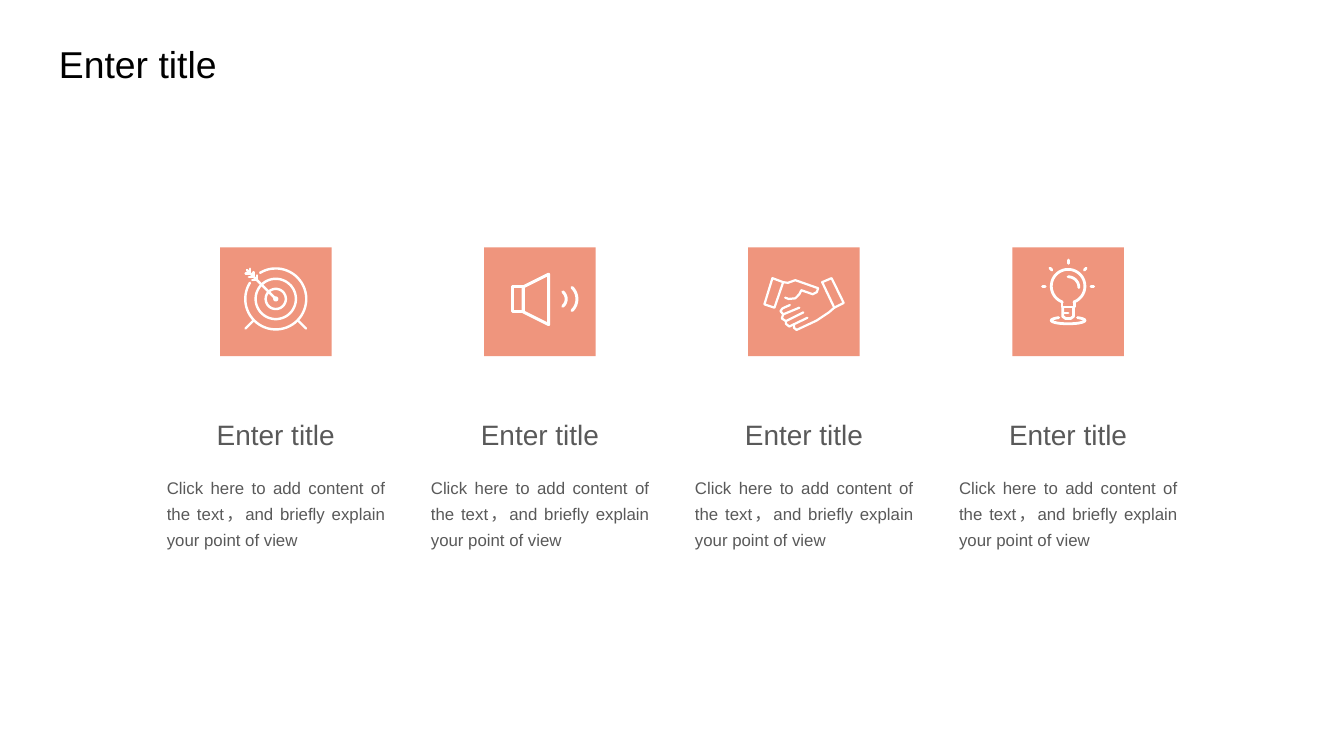
from dataclasses import dataclass
from math import cos, radians, sin

from pptx import Presentation
from pptx.dml.color import RGBColor
from pptx.enum.shapes import MSO_SHAPE
from pptx.enum.text import MSO_AUTO_SIZE, PP_ALIGN
from pptx.util import Inches, Pt

RECT = MSO_SHAPE.RECTANGLE
GROW = MSO_AUTO_SIZE.SHAPE_TO_FIT_TEXT
LEFT, CENTER, JUSTIFY = PP_ALIGN.LEFT, PP_ALIGN.CENTER, PP_ALIGN.JUSTIFY

SLIDE_W = 10
SLIDE_H = SLIDE_W * 9 / 16
COLUMNS, MARGIN = 4, 1.07
COLUMN_W = (SLIDE_W - 2 * MARGIN) / COLUMNS
TILE_W, TILE_H, TILE_TOP = 0.83, 0.81, 1.84
LABEL_W, LABEL_H, LABEL_TOP = 1.67, 0.35, 3.06
BODY_W, BODY_H, BODY_TOP = 1.82, 0.87, 3.46
ICON_UNIT = 0.01

HEADING = "Enter title"
BODY = "Click here to add content of the text，and briefly explain your point of view"

Point = tuple[float, float]


@dataclass(frozen=True)
class Theme:
    font: str = "Arial"
    title: RGBColor = RGBColor(0x00, 0x00, 0x00)
    text: RGBColor = RGBColor(0x59, 0x59, 0x59)
    tile: RGBColor = RGBColor(0xEF, 0x95, 0x7D)
    icon: RGBColor = RGBColor(0xFF, 0xFF, 0xFF)
    title_size: float = 20
    label_size: float = 15
    body_size: float = 9


@dataclass(frozen=True)
class Box:
    x: float
    y: float
    w: float
    h: float

    def emu(self) -> tuple[int, ...]:
        return tuple(Inches(v) for v in (self.x, self.y, self.w, self.h))


@dataclass(frozen=True)
class Stroke:
    points: tuple[Point, ...]
    closed: bool = False


@dataclass(frozen=True)
class Icon:
    weight: float
    strokes: tuple[Stroke, ...]


THEME = Theme()


def line(*points: Point) -> Stroke:
    return Stroke(points)


def loop(*points: Point) -> Stroke:
    return Stroke(points, True)


def arc(cx: float, cy: float, rx: float, ry: float, start: float, end: float) -> Stroke:
    steps = max(8, round((end - start) / 6))
    angles = [radians(start + (end - start) * i / steps) for i in range(steps + 1)]
    return Stroke(tuple((cx + rx * cos(a), cy + ry * sin(a)) for a in angles))


def ring(cx: float, cy: float, r: float) -> Stroke:
    return Stroke(arc(cx, cy, r, r, 0, 360).points[:-1], True)


TARGET = Icon(1.3, (
    arc(41.5, 38.5, 22.7, 22.7, 239, 572),
    *(ring(41.5, 38.5, r) for r in (15, 7.5, 1)),
    line((20, 17), (41.5, 38.5)),
    *(line((x, y - 3.5), (x, y), (x - 3.5, y)) for x, y in ((22.5, 19.5), (25, 22), (27.5, 24.5))),
    line((25, 54.5), (19, 60.5)),
    line((58, 54.5), (64, 60.5)),
))
SPEAKER = Icon(1.6, (
    loop((21, 29.5), (29, 29.5), (29, 48), (21, 48)),
    loop((29, 29.5), (48, 20), (48, 57.5), (29, 48)),
    arc(54, 38.5, 7, 7, -50, 50),
    arc(57, 38.5, 12, 12, -46, 46),
))
HANDSHAKE = Icon(1.2, (
    loop((55, 26), (62, 23), (71, 41.5), (64, 45)),
    loop((18, 23), (26, 26), (19.5, 45), (12, 42.5)),
    line((26, 26), (29.5, 26.5), (35, 24.5), (52, 30.5), (51, 33.5), (48, 35),
         (39.5, 32), (38, 35), (35, 38), (30, 38.5), (27.5, 37.5)),
    line((31, 43), (25.5, 45.5), (24, 47.5), (26, 50), (38, 45)),
    line((26, 50), (25, 53), (28, 55), (41, 48.5)),
    line((28, 55), (28, 57), (30.5, 59), (44, 52.5)),
    line((34, 57.5), (34, 60), (36, 61.5), (51, 54.5), (60, 48.5), (64, 45)),
))
BULB = Icon(1.5, (
    arc(41.5, 29, 12.5, 12.5, 110, 430),
    line((37, 41), (37, 44.5), (46, 44.5), (46, 41)),
    line((37.5, 44.5), (37.5, 51.5), (39.5, 53), (43.5, 53), (45.5, 51.5), (45.5, 44.5)),
    line((38.5, 49), (41.5, 49)),
    arc(41.5, 30, 8, 8, -90, 0),
    arc(41.5, 54.5, 12.5, 2.5, -56, 236),
    line((41.5, 9.5), (41.5, 12)),
    line((55, 15.5), (53.5, 17)),
    line((28, 15.5), (29.5, 17)),
    line((58.5, 29), (60.5, 29)),
    line((22.5, 29), (24.5, 29)),
))
ICONS = (TARGET, SPEAKER, HANDSHAKE, BULB)


def add_text(s, box: Box, text: str, font: dict, para: dict, wrap: bool = True) -> None:
    tf = s.shapes.add_textbox(*box.emu()).text_frame
    tf.word_wrap = wrap
    tf.auto_size = GROW
    p = tf.paragraphs[0]
    for name, value in para.items():
        setattr(p, name, value)
    r = p.add_run()
    r.text = text
    for name, value in {"name": THEME.font, "size": Pt(font["size"])}.items():
        setattr(r.font, name, value)
    r.font.color.rgb = font["color"]


def add_tile(s, box: Box) -> None:
    sp = s.shapes.add_shape(RECT, *box.emu())
    sp.shadow.inherit = False
    sp.fill.solid()
    sp.fill.fore_color.rgb = THEME.tile
    sp.line.fill.background()


def add_icon(s, icon: Icon, x: float, y: float) -> None:
    paths = [
        [(Inches(x + px * ICON_UNIT), Inches(y + py * ICON_UNIT)) for px, py in stroke.points]
        for stroke in icon.strokes
    ]
    builder = s.shapes.build_freeform(*paths[0][0])
    for i, (stroke, path) in enumerate(zip(icon.strokes, paths)):
        if i:
            builder.move_to(*path[0])
        builder.add_line_segments(path[1:], close=stroke.closed)
    sp = builder.convert_to_shape()
    sp.shadow.inherit = False
    sp.fill.background()
    sp.line.color.rgb = THEME.icon
    sp.line.width = Pt(icon.weight)
    sp.get_or_add_ln().set("cap", "rnd")


def add_column(s, index: int, icon: Icon) -> None:
    center = MARGIN + (index + 0.5) * COLUMN_W
    tile = Box(center - TILE_W / 2, TILE_TOP, TILE_W, TILE_H)
    add_tile(s, tile)
    add_icon(s, icon, tile.x, tile.y)
    add_text(s, Box(center - LABEL_W / 2, LABEL_TOP, LABEL_W, LABEL_H), HEADING,
             {"size": THEME.label_size, "color": THEME.text}, {"alignment": CENTER})
    add_text(s, Box(center - BODY_W / 2, BODY_TOP, BODY_W, BODY_H), BODY,
             {"size": THEME.body_size, "color": THEME.text},
             {"alignment": JUSTIFY, "line_spacing": 1.3})


def main() -> None:
    prs = Presentation()
    prs.slide_width, prs.slide_height = Inches(SLIDE_W), Inches(SLIDE_H)
    s = prs.slides.add_slide(prs.slide_layouts[6])
    add_text(s, Box(0.34, 0.26, 1.74, 0.44), HEADING,
             {"size": THEME.title_size, "color": THEME.title}, {"alignment": LEFT}, wrap=False)
    for index, icon in enumerate(ICONS):
        add_column(s, index, icon)
    prs.save("out.pptx")


if __name__ == "__main__":
    main()
